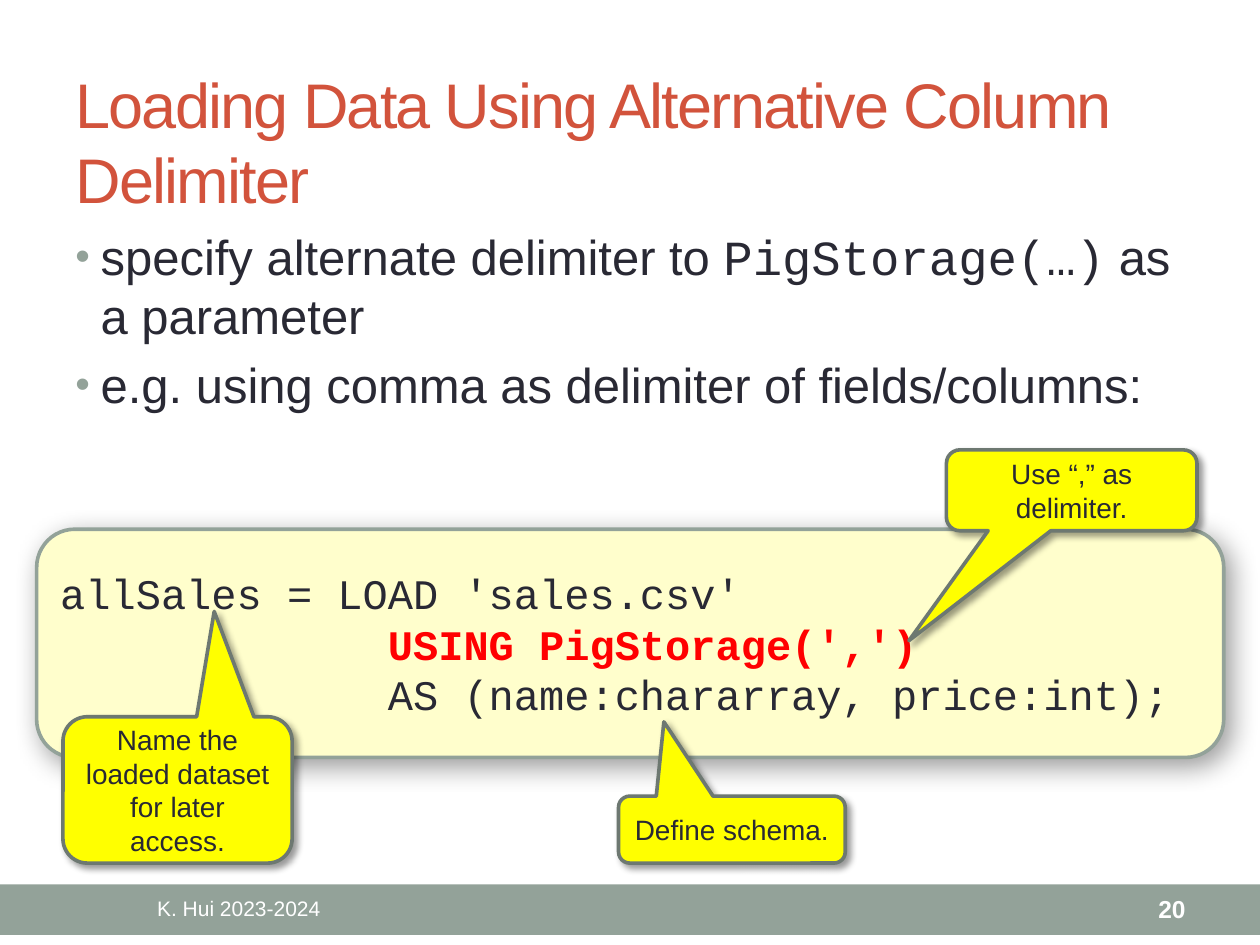
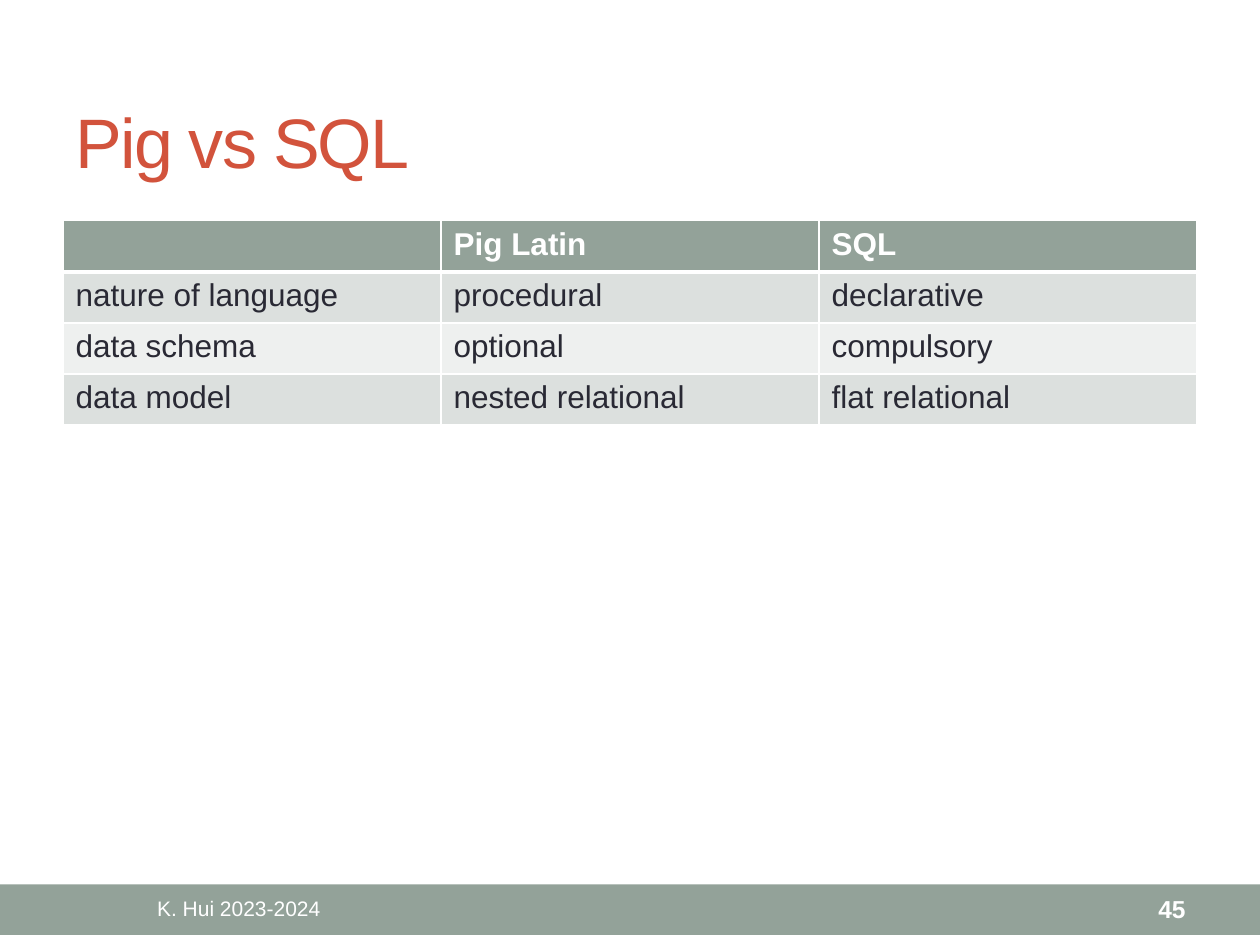
"""Build two slides on Pig: loading data with a delimiter, and Pig versus SQL."""
from dataclasses import dataclass

from lxml import etree
from pptx import Presentation
from pptx.dml.color import RGBColor
from pptx.enum.shapes import MSO_SHAPE
from pptx.enum.text import MSO_ANCHOR, PP_ALIGN
from pptx.oxml import parse_xml
from pptx.oxml.ns import nsdecls, qn
from pptx.util import Cm, Pt

RECTANGLE = MSO_SHAPE.RECTANGLE
ROUNDED = MSO_SHAPE.ROUNDED_RECTANGLE
CALLOUT = MSO_SHAPE.ROUNDED_RECTANGULAR_CALLOUT
TOP, MIDDLE = MSO_ANCHOR.TOP, MSO_ANCHOR.MIDDLE
LEFT, CENTER, RIGHT = PP_ALIGN.LEFT, PP_ALIGN.CENTER, PP_ALIGN.RIGHT


@dataclass(frozen=True)
class Theme:
    sage: str = "93A299"
    sage_dark: str = "6D7871"
    rust: str = "D2533C"
    ink: str = "292934"
    white: str = "FFFFFF"
    red: str = "FF0000"
    cream: str = "FFFECC"
    yellow: str = "FFFF00"
    row_bands: tuple = ("DCE0DE", "EEF0EF")
    text_font: str = "Arial"
    code_font: str = "Courier New"
    body_size: int = 28
    code_size: int = 24
    table_size: int = 18
    callout_size: int = 16
    number_size: int = 14
    footer_size: int = 12
    outline: float = 2.08


theme = Theme()


def style_font(font, size, color, name=theme.text_font, bold=False):
    font.name, font.size, font.bold = name, Pt(size), bold
    font.color.rgb = RGBColor.from_string(color)


def add_text(slide, box, text, size, color, align=LEFT, anchor=MIDDLE, bold=False):
    frame = slide.shapes.add_textbox(*map(Cm, box)).text_frame
    frame.word_wrap = True
    frame.vertical_anchor = anchor
    paragraph = frame.paragraphs[0]
    paragraph.text = text
    paragraph.alignment = align
    style_font(paragraph.font, size, color, bold=bold)
    return frame


presentation = Presentation()
presentation.slide_width, presentation.slide_height = Cm(25.4), Cm(19.05)

slides = []
for title, title_size, number in [
    ("Loading Data Using Alternative Column Delimiter", 36, "20"),
    ("Pig vs SQL", 40, "45"),
]:
    slide = presentation.slides.add_slide(presentation.slide_layouts[6])
    band = slide.shapes.add_shape(RECTANGLE, 0, Cm(17.83), Cm(25.4), Cm(1.02))
    band.shadow.inherit = False
    band.fill.solid()
    band.fill.fore_color.rgb = RGBColor.from_string(theme.sage)
    band.line.fill.background()
    heading = add_text(slide, (1.27, 1.47, 22.86, 2.74), title, title_size, theme.rust)
    heading.paragraphs[0].runs[0]._r.get_or_add_rPr().set("spc", "-100")
    add_text(slide, (1.27, 17.86, 7.09, 0.91), "K. Hui 2023-2024",
             theme.footer_size, theme.white, CENTER)
    add_text(slide, (21.18, 17.86, 2.97, 0.91), number,
             theme.number_size, theme.white, RIGHT, bold=True)
    slides.append(slide)
loading_slide, comparison_slide = slides

body = add_text(loading_slide, (1.27, 4.45, 22.86, 5.74), "",
                theme.body_size, theme.ink, anchor=TOP)
body_paragraphs = [body.paragraphs[0], body.add_paragraph()]
for paragraph in body_paragraphs:
    properties = paragraph._p.get_or_add_pPr()
    properties.set("marL", str(Cm(0.51)))
    properties.set("indent", str(-Cm(0.51)))
    for old in properties.findall(qn("a:defRPr")):
        properties.remove(old)
    bullet_color = etree.SubElement(properties, qn("a:buClr"))
    etree.SubElement(bullet_color, qn("a:srgbClr"), val=theme.sage)
    etree.SubElement(properties, qn("a:buSzPct"), val="85000")
    etree.SubElement(properties, qn("a:buFont"), typeface=theme.text_font)
    etree.SubElement(properties, qn("a:buChar"), char="•")
for text, font_name in [
    ("specify alternate delimiter to ", theme.text_font),
    ("PigStorage(…)", theme.code_font),
    (" as a parameter", theme.text_font),
]:
    run = body_paragraphs[0].add_run()
    run.text = text
    style_font(run.font, theme.body_size, theme.ink, font_name)
body_paragraphs[1].text = "e.g. using comma as delimiter of fields/columns:"
body_paragraphs[1].space_before = Pt(5.6)
style_font(body_paragraphs[1].font, theme.body_size, theme.ink)

code_lines = [
    "allSales = LOAD 'sales.csv'",
    "             USING PigStorage(',')",
    "             AS (name:chararray, price:int);",
]
panels = [
    (ROUNDED, (0.74, 10.67, 23.93, 4.6), None, code_lines),
    (CALLOUT, (19.08, 9.07, 5.05, 1.63), (-0.65, 1.86), ["Use “,” as delimiter."]),
    (CALLOUT, (1.27, 14.45, 4.62, 2.95), (0.16, -1.22),
     ["Name the loaded dataset for later access."]),
    (CALLOUT, (12.47, 16.05, 4.57, 1.35), (-0.3, -1.61), ["Define schema."]),
]
for kind, box, pointer, lines in panels:
    is_callout = kind == CALLOUT
    shape = loading_slide.shapes.add_shape(kind, *map(Cm, box))
    if is_callout:
        shape.adjustments[0], shape.adjustments[1] = pointer
    shape.fill.solid()
    shape.fill.fore_color.rgb = RGBColor.from_string(
        theme.yellow if is_callout else theme.cream)
    shape.line.color.rgb = RGBColor.from_string(
        theme.sage_dark if is_callout else theme.sage)
    shape.line.width = Pt(theme.outline)
    shape.shadow.inherit = False
    blur, distance = (4, 3) if is_callout else (15, 5)
    effects = shape._element.spPr.find(qn("a:effectLst"))
    effects.append(parse_xml(
        f'<a:outerShdw {nsdecls("a")} blurRad="{Pt(blur)}" dist="{Pt(distance)}" '
        'dir="2700000" algn="tl" rotWithShape="0"><a:srgbClr val="000000">'
        '<a:alpha val="40000"/></a:srgbClr></a:outerShdw>'))
    frame = shape.text_frame
    frame.word_wrap = True
    frame.vertical_anchor = MIDDLE
    for index, line in enumerate(lines):
        paragraph = frame.add_paragraph() if index else frame.paragraphs[0]
        paragraph.text = line
        paragraph.alignment = CENTER if is_callout else LEFT
        if is_callout:
            style_font(paragraph.font, theme.callout_size, theme.ink)
        else:
            highlighted = "USING" in line
            style_font(paragraph.font, theme.code_size,
                       theme.red if highlighted else theme.ink,
                       theme.code_font, highlighted)

comparison = [
    ("", "Pig Latin", "SQL"),
    ("nature of language", "procedural", "declarative"),
    ("data schema", "optional", "compulsory"),
    ("data model", "nested relational", "flat relational"),
]
table = comparison_slide.shapes.add_table(
    len(comparison), 3, Cm(1.27), Cm(4.45), Cm(22.86), Cm(4.12)).table
for row_index, values in enumerate(comparison):
    is_header = row_index == 0
    borders = {"L": 1, "R": 1, "T": 3 if row_index == 1 else 1, "B": 3 if is_header else 1}
    for column_index, value in enumerate(values):
        cell = table.cell(row_index, column_index)
        cell_properties = cell._tc.get_or_add_tcPr()
        for side, width in borders.items():
            border = etree.SubElement(cell_properties, qn(f"a:ln{side}"), w=str(Pt(width)))
            border_fill = etree.SubElement(border, qn("a:solidFill"))
            etree.SubElement(border_fill, qn("a:srgbClr"), val=theme.white)
        cell.fill.solid()
        cell.fill.fore_color.rgb = RGBColor.from_string(
            theme.sage if is_header else theme.row_bands[(row_index - 1) % 2])
        paragraph = cell.text_frame.paragraphs[0]
        paragraph.text = value
        style_font(paragraph.font, theme.table_size,
                   theme.white if is_header else theme.ink, bold=is_header)

presentation.save("out.pptx")
